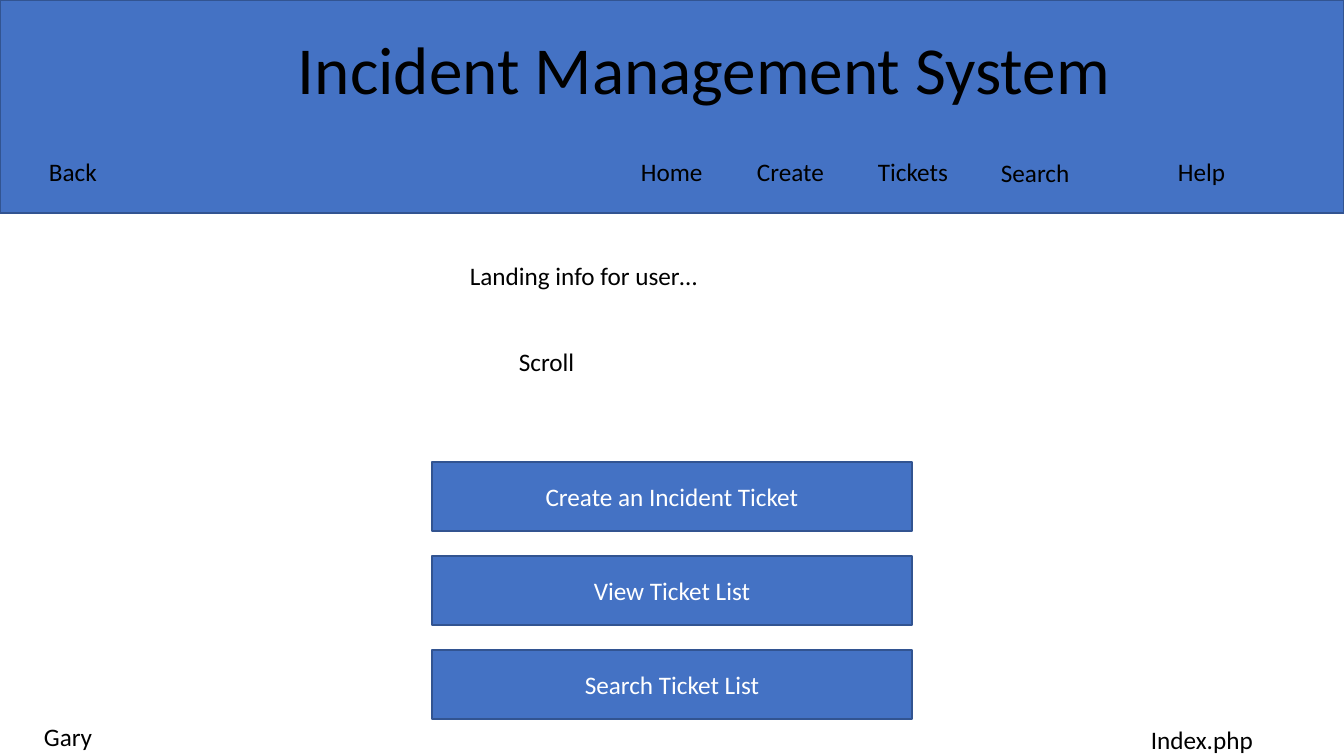
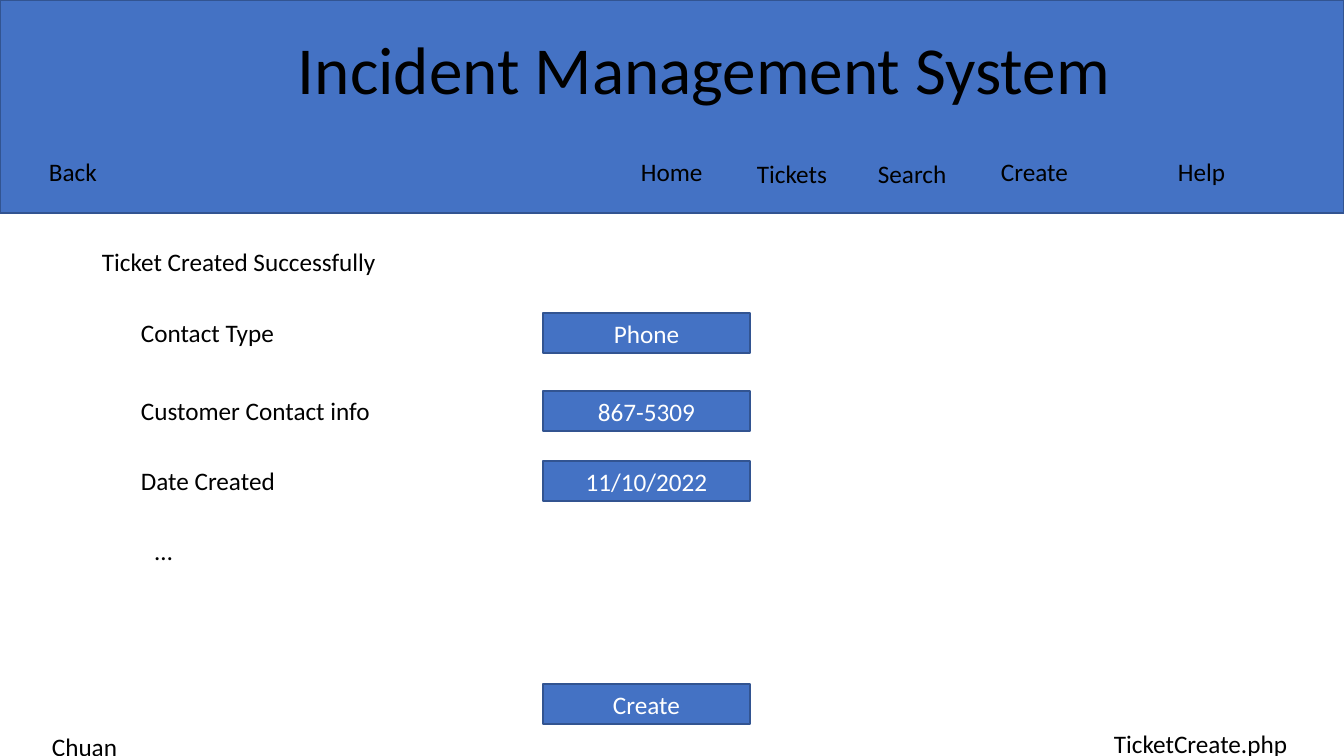
from dataclasses import dataclass
from pptx import Presentation, util as u
from pptx.dml.color import RGBColor as Rgb
from pptx.enum import shapes, text

PX = 914400 / 100.8
WIDE, HIGH = 1344, 756


@dataclass(frozen=True)
class Theme:
    font: str = "Calibri"
    blue: Rgb = Rgb(0x44, 0x72, 0xC4)
    edge: Rgb = Rgb(0x32, 0x54, 0x91)
    ink: Rgb = Rgb(0, 0, 0)
    white: Rgb = Rgb(255, 255, 255)
    title: int = 48
    body: int = 18
    line: int = 1


T = Theme()
LINE = 40  # height of one line of body text
SLOTS = 631, 747, 868, 991
WIDTHS = {"Home": 83, "Create": 88, "Tickets": 91, "Search": 90}


def emu(*box):
    return [u.Emu(round(n * PX)) for n in box]


def style(par, size, color):
    for run in par.runs:
        font = run.font
        font.name, font.size = T.font, u.Pt(size)
        font.color.rgb = color


def label(slide, words, x, y, w, h=LINE, size=T.body):
    frame = slide.shapes.add_textbox(*emu(x, y, w, h)).text_frame
    frame.text = words
    frame.word_wrap = False
    frame.auto_size = text.MSO_AUTO_SIZE.SHAPE_TO_FIT_TEXT
    style(frame.paragraphs[0], size, T.ink)


def block(slide, x, y, w, h, words=""):
    box = slide.shapes.add_shape(shapes.MSO_SHAPE.RECTANGLE, *emu(x, y, w, h))
    box.shadow.inherit = False
    box.fill.solid()
    box.fill.fore_color.rgb = T.blue
    box.line.color.rgb = T.edge
    box.line.width = u.Pt(T.line)
    if words:
        frame = box.text_frame
        frame.text = words
        frame.vertical_anchor = text.MSO_ANCHOR.MIDDLE
        par = frame.paragraphs[0]
        par.alignment = text.PP_ALIGN.CENTER
        style(par, T.body, T.white)


# Banner with title and menu; each menu item has a small drop
def header(slide, menu, x=0, y=0):
    block(slide, x, y, WIDE, 213)
    label(slide, "Incident Management System", x + 288, y + 22, 842, 92, T.title)
    row = y + 151
    label(slide, "Back", x + 39, row, 69)
    for left, (word, drop) in zip(SLOTS, menu):
        label(slide, word, x + left, row + drop, WIDTHS[word])
    label(slide, "Help", x + 1168, row, 69)


# Equal buttons stacked down a column
def stack(slide, names, x, y, w, h, step):
    for i, name in enumerate(names):
        block(slide, x, y + i * step, w, h, name)


# Form rows: label on the left, value box on the right
def form(slide, rows, x, y, w):
    for drop, name, wide, value in rows:
        label(slide, name, x, y + drop, wide)
        block(slide, x + 412, y + drop + 1, w, LINE, value)


def landing(slide):
    header(slide, [("Home", 0), ("Create", 0), ("Tickets", 0), ("Search", 1)])
    label(slide, "Landing info for user…", 460, 255, 250)
    label(slide, "Scroll ", 509, 341, 82)
    names = "Create an Incident Ticket", "View Ticket List", "Search Ticket List"
    stack(slide, names, 432, 462, 480, 69, 94)
    # Footer
    label(slide, "Gary", 34, 716, 70)
    label(slide, "Index.php", 1141, 719, 124)


def created(slide):
    header(slide, [("Home", 0), ("Tickets", 2), ("Search", 2), ("Create", 0)])
    label(slide, "Ticket Created Successfully", 92, 241, 297)
    rows = [
        (0, "Contact Type", 155, "Phone"),
        (78, "Customer Contact info", 252, "867-5309"),
        (148, "Date Created", 156, "11/10/2022"),
    ]
    form(slide, rows, 131, 312, 207)
    label(slide, "…", 145, 530, 38)
    block(slide, 543, 684, 207, LINE, "Create")
    # Footer
    label(slide, "Chuan", 42, 726, 87)
    label(slide, "TicketCreate.php", 1104, 723, 196)


deck = Presentation()
deck.slide_width, deck.slide_height = emu(WIDE, HIGH)
for draw in (landing, created):
    draw(deck.slides.add_slide(deck.slide_layouts[6]))
deck.save("out.pptx")
